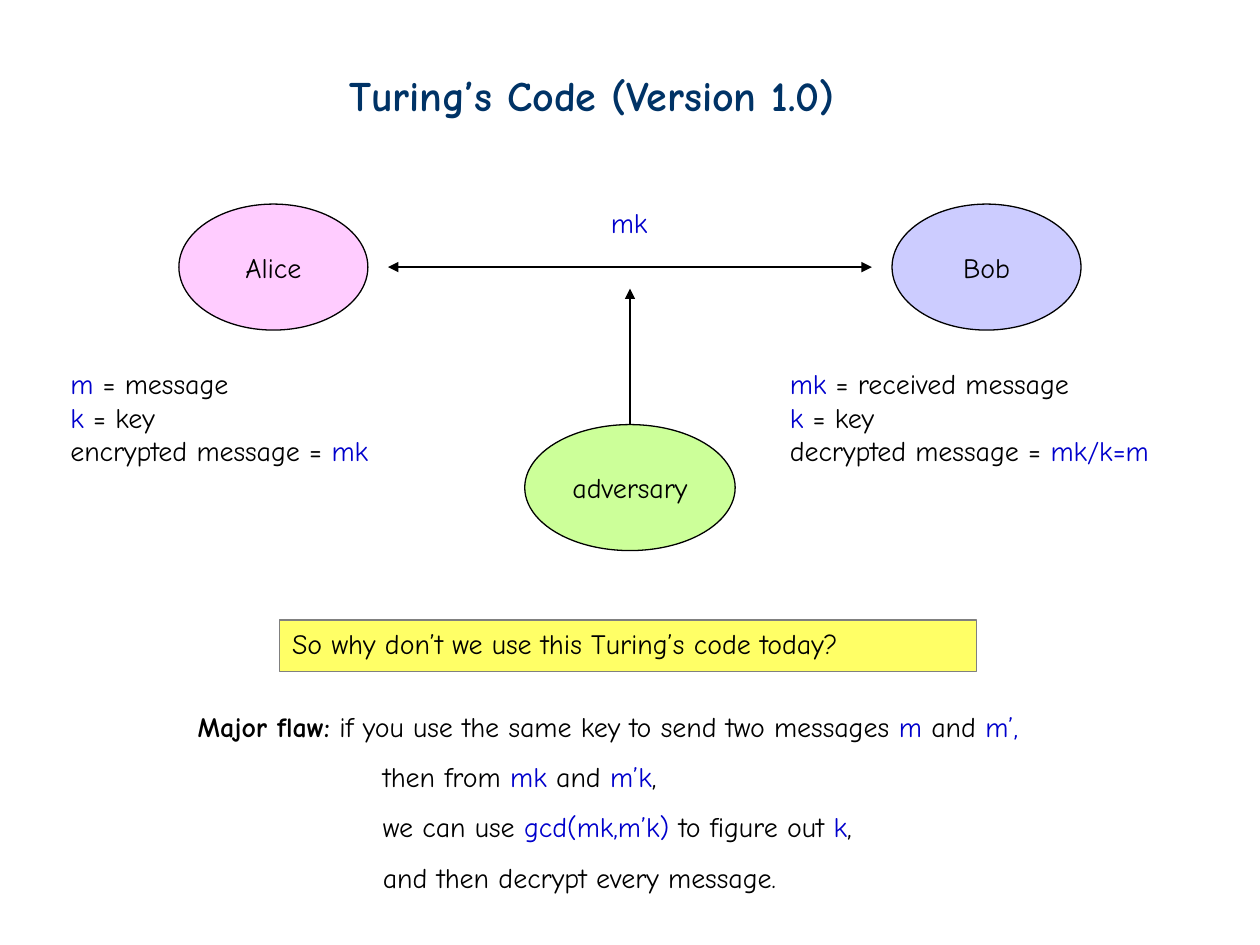
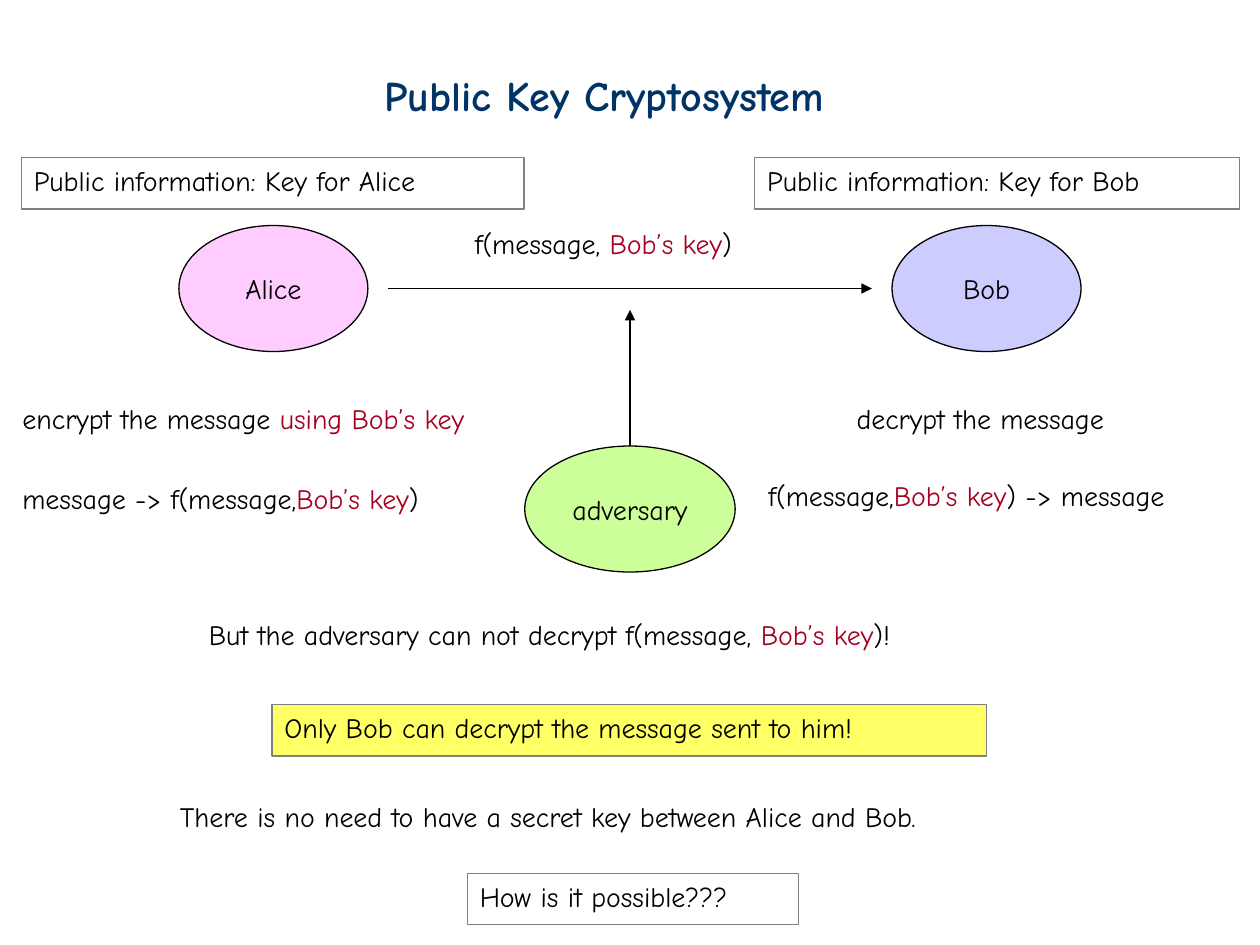
from dataclasses import dataclass

from lxml.etree import SubElement
from pptx import Presentation
from pptx.dml.color import RGBColor
from pptx.enum.shapes import MSO_CONNECTOR as Connector, MSO_SHAPE as Shape
from pptx.enum.text import MSO_ANCHOR as Anchor, MSO_AUTO_SIZE as AutoSize, PP_ALIGN as Align
from pptx.oxml.ns import qn
from pptx.util import Inches, Pt


@dataclass(frozen=True)
class Theme:
    font: str = "Comic Neue"
    title_size: int = 24
    text_size: int = 16
    line_width: float = 0.75
    title: str = "003366"
    text: str = "000000"
    blue: str = "0000CC"
    red: str = "A50021"
    frame: str = "808080"
    highlight: str = "FFFF66"
    alice: str = "FFCCFF"
    bob: str = "CCCCFF"
    adversary: str = "CCFF99"


THEME = Theme()
TITLE_ONLY = 5
LINE_HEIGHT = 0.3
BOX_PADDING = 0.1


def place(shape, left, top, width, height):
    box = {"left": left, "top": top, "width": width, "height": height}
    for name, value in box.items():
        setattr(shape, name, Inches(value))


def add_run(paragraph, text, color=THEME.text, size=THEME.text_size, bold=False):
    run = paragraph.add_run()
    run.text = text
    font_format = {"name": THEME.font, "size": Pt(size), "bold": bold}
    for name, value in font_format.items():
        setattr(run.font, name, value)
    run.font.color.rgb = RGBColor.from_string(color)


def write(paragraph, text, accent=THEME.blue):
    """Write text in which the parts between bars take the accent colour."""
    for index, part in enumerate(text.split("|")):
        if part:
            add_run(paragraph, part, accent if index % 2 else THEME.text)


def add_title(slide, text, left, width):
    title = slide.shapes.title
    place(title, left, 0.5, width, 0.5)
    frame_format = {"word_wrap": True, "auto_size": AutoSize.NONE, "vertical_anchor": Anchor.TOP}
    for name, value in frame_format.items():
        setattr(title.text_frame, name, value)
    paragraph = title.text_frame.paragraphs[0]
    paragraph.alignment = Align.LEFT
    add_run(paragraph, text, THEME.title, THEME.title_size, bold=True)


def add_label(slide, left, top, width, *lines, accent=THEME.blue):
    height = BOX_PADDING + LINE_HEIGHT * len(lines)
    label = slide.shapes.add_textbox(*map(Inches, (left, top, width, height)))
    frame = label.text_frame
    frame.word_wrap = True
    for index, line in enumerate(lines):
        paragraph = frame.add_paragraph() if index else frame.paragraphs[0]
        write(paragraph, line, accent)
    return label


def add_outlined(slide, kind, box, fill, line):
    shape = slide.shapes.add_shape(kind, *map(Inches, box))
    shape.shadow.inherit = False
    if fill:
        shape.fill.solid()
        shape.fill.fore_color.rgb = RGBColor.from_string(fill)
    else:
        shape.fill.background()
    shape.line.color.rgb = RGBColor.from_string(line)
    shape.line.width = Pt(THEME.line_width)
    return shape


def add_framed_text(slide, text, left, top, width, fill=None):
    shape = add_outlined(slide, Shape.RECTANGLE, (left, top, width, 0.41), fill, THEME.frame)
    frame = shape.text_frame
    frame.word_wrap = True
    frame.vertical_anchor = Anchor.TOP
    frame.paragraphs[0].alignment = Align.LEFT
    write(frame.paragraphs[0], text)


def add_person(slide, name, center_x, top, width, fill):
    box = (center_x - width / 2, top, width, 1)
    frame = add_outlined(slide, Shape.OVAL, box, fill, THEME.text).text_frame
    frame.word_wrap = False
    frame.vertical_anchor = Anchor.MIDDLE
    frame.paragraphs[0].alignment = Align.CENTER
    write(frame.paragraphs[0], name)


def add_arrow(slide, start, end, both_ways=False):
    arrow = slide.shapes.add_connector(Connector.STRAIGHT, *map(Inches, start + end))
    arrow.line.color.rgb = RGBColor.from_string(THEME.text)
    arrow.line.width = Pt(THEME.line_width)
    line = arrow.line._get_or_add_ln()
    for tag in ("a:headEnd", "a:tailEnd") if both_ways else ("a:tailEnd",):
        SubElement(line, qn(tag), type="triangle")
    SubElement(arrow._element.spPr, qn("a:effectLst"))


def add_channel(slide, top, both_ways=False):
    """Draw Alice and Bob, the channel between them and the adversary below it."""
    channel_y, adversary_top = top + 0.5, top + 1.75
    add_person(slide, "Alice", 2.17, top, 1.5, THEME.alice)
    add_person(slide, "Bob", 7.83, top, 1.5, THEME.bob)
    add_arrow(slide, (3.08, channel_y), (6.92, channel_y), both_ways)
    add_person(slide, "adversary", 5, adversary_top, 1.67, THEME.adversary)
    add_arrow(slide, (5, adversary_top), (5, channel_y + 0.17))


def add_flaw(slide):
    label = add_label(
        slide, 1.47, 5.58, 8.18,
        " if you use the same key to send two messages |m| and |m’,|",
        "then from |mk| and |m’k|,",
        "we can use |gcd(mk,m’k)| to figure out |k|,",
        "and then decrypt every message.",
    )
    label.height = Inches(1.76)
    first, *steps = label.text_frame.paragraphs
    add_run(first, "Major flaw:", bold=True)
    lead = first.runs[-1]._r
    first.runs[0]._r.addprevious(lead)
    for step in steps:
        step.line_spacing = 1.5
        step._p.get_or_add_pPr().set("marL", str(Inches(1.47)))


def build_turing_code(slide):
    add_title(slide, "Turing’s Code (Version 1.0)", 2.67, 4.62)
    add_channel(slide, 1.62, both_ways=True)
    add_label(slide, 4.75, 1.58, 0.53, "|mk|")
    add_label(slide, 0.46, 2.86, 3.04,
              "|m| = message", "|k| = key", "encrypted message = |mk|")
    add_label(slide, 6.17, 2.86, 3.64,
              "|mk| = received message", "|k| = key", "decrypted message = |mk/k=m|")
    add_framed_text(slide, "So why don’t we use this Turing’s code today?",
                    2.22, 4.92, 5.53, THEME.highlight)
    add_flaw(slide)


def build_public_key(slide):
    add_title(slide, "Public Key Cryptosystem", 2.95, 4.14)
    add_channel(slide, 1.79)
    labels = [
        (3.67, 1.75, 2.71, "f(message, |Bob’s key|)"),
        (0.08, 3.14, 4.43, "encrypt the message |using Bob’s key|"),
        (0.08, 3.77, 3.96, "message -> f(message,|Bob’s key|)"),
        (6.7, 3.14, 2.64, "decrypt the message"),
        (6, 3.75, 3.96, "f(message,|Bob’s key|) -> message"),
        (1.56, 4.85, 6.86, "But the adversary can not decrypt f(message, |Bob’s key|)!"),
        (1.33, 6.3, 7.36, "There is no need to have a secret key between Alice and Bob."),
    ]
    for label in labels:
        add_label(slide, *label, accent=THEME.red)
    add_framed_text(slide, "Public information: Key for Alice", 0.17, 1.25, 3.99)
    add_framed_text(slide, "Public information: Key for Bob", 5.99, 1.25, 3.85)
    add_framed_text(slide, "Only Bob can decrypt the message sent to him!",
                    2.16, 5.59, 5.67, THEME.highlight)
    add_framed_text(slide, "How is it possible???", 3.71, 6.93, 2.63)


def main():
    presentation = Presentation()
    presentation.slide_width = Inches(10)
    presentation.slide_height = Inches(7.5)
    for build in (build_turing_code, build_public_key):
        build(presentation.slides.add_slide(presentation.slide_layouts[TITLE_ONLY]))
    presentation.save("out.pptx")


if __name__ == "__main__":
    main()
